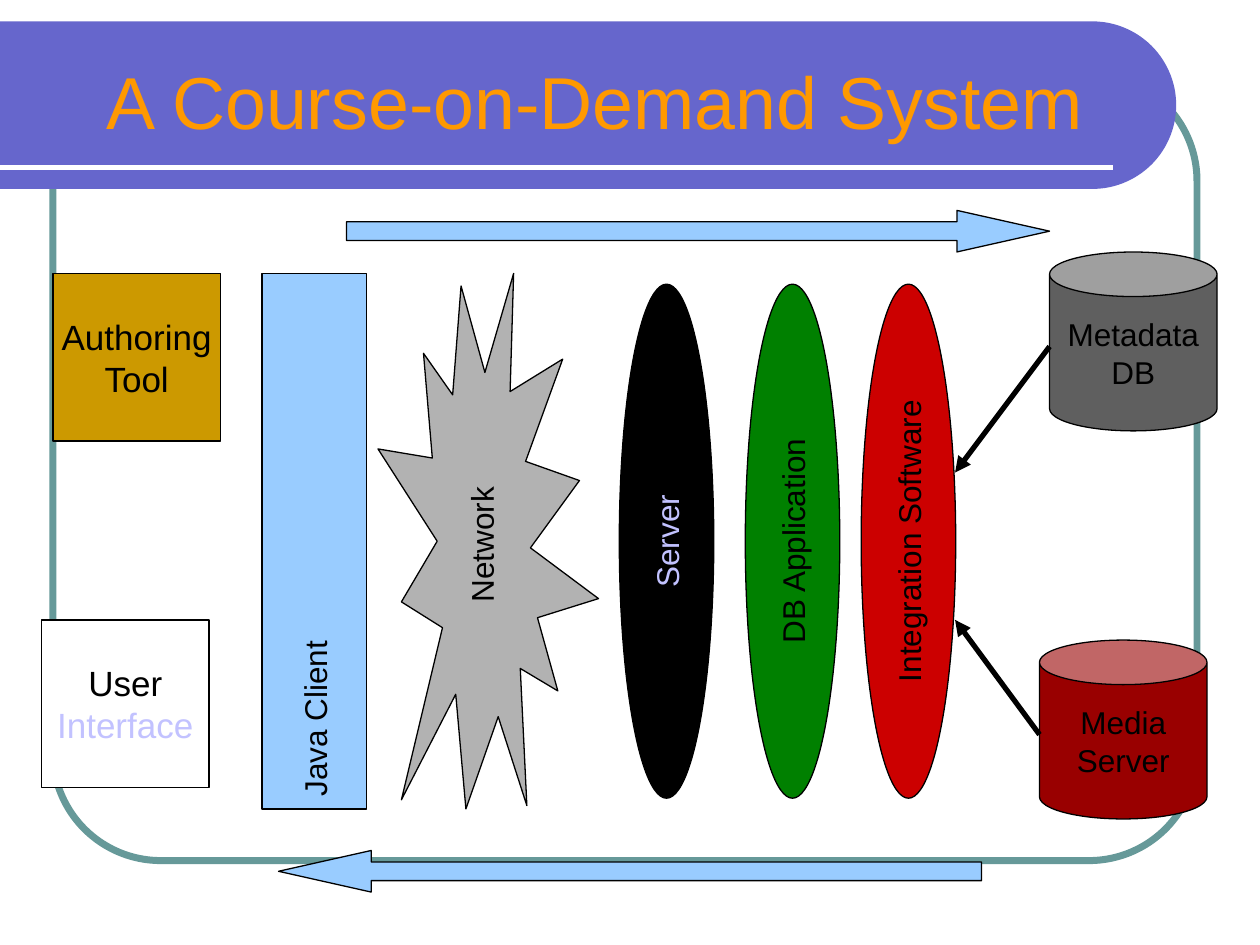
import math

import pptx
import pptx.dml.color
import pptx.enum.shapes
import pptx.enum.text
import pptx.oxml.ns
import pptx.util
from lxml import etree

Inches = pptx.util.Inches
Pt = pptx.util.Pt
RGBColor = pptx.dml.color.RGBColor
SHAPE = pptx.enum.shapes.MSO_SHAPE
ALIGN = pptx.enum.text.PP_ALIGN
MIDDLE = pptx.enum.text.MSO_ANCHOR.MIDDLE
qn = pptx.oxml.ns.qn

BLACK = RGBColor(0x00, 0x00, 0x00)
WHITE = RGBColor(0xFF, 0xFF, 0xFF)
TEAL = RGBColor(0x66, 0x99, 0x99)
VIOLET = RGBColor(0x66, 0x66, 0xCC)
ORANGE = RGBColor(0xFF, 0x99, 0x00)
GOLD = RGBColor(0xCC, 0x99, 0x00)
SKY = RGBColor(0x99, 0xCC, 0xFF)
SILVER = RGBColor(0xB2, 0xB2, 0xB2)
LAVENDER = RGBColor(0xC2, 0xC2, 0xFF)
GREEN = RGBColor(0x00, 0x80, 0x00)
RED = RGBColor(0xCC, 0x00, 0x00)
GRAY = RGBColor(0x5F, 0x5F, 0x5F)
MAROON = RGBColor(0x99, 0x00, 0x00)


def write_lines(shape, lines, size, align=ALIGN.CENTER, wrap=False):
    """Write (text, colour) pairs, one paragraph each."""
    frame = shape.text_frame
    frame.word_wrap = wrap
    frame.vertical_anchor = MIDDLE
    for index, (text, color) in enumerate(lines):
        para = frame.add_paragraph() if index else frame.paragraphs[0]
        para.alignment = align
        span = para.add_run()
        span.text = text
        for name, value in {"name": "Arial", "size": Pt(size)}.items():
            setattr(span.font, name, value)
        span.font.color.rgb = color


def paint(shape, fill, line, width=0.75):
    shape.shadow.inherit = False
    if fill is None:
        shape.fill.background()
    else:
        shape.fill.solid()
        shape.fill.fore_color.rgb = fill
    if line is None:
        shape.line.fill.background()
    else:
        shape.line.color.rgb = line
        shape.line.width = Pt(width)


def add_block(page, kind, place, fill, lines=(), size=18, rotation=0,
              adjust=(), line=BLACK, width=0.75):
    shape = page.shapes.add_shape(kind, *map(Inches, place))
    paint(shape, fill, line, width)
    shape.rotation = rotation
    for index, value in enumerate(adjust):
        shape.adjustments[index] = value
    if lines:
        write_lines(shape, lines, size)
    return shape


def add_line(page, start, end, color, arrow=False):
    connector = page.shapes.add_connector(
        pptx.enum.shapes.MSO_CONNECTOR.STRAIGHT, *map(Inches, start + end))
    connector.line.color.rgb = color
    connector.line.width = Pt(3)
    if arrow:
        tail = etree.SubElement(connector.line._get_or_add_ln(), qn("a:tailEnd"))
        tail.set("type", "triangle")
    etree.SubElement(connector._element.spPr, qn("a:effectLst"))


def add_banner(page):
    """Title band with a half-round right end."""
    top, bottom, straight = 0.17, 1.5, 8.67
    radius = (bottom - top) / 2
    arc = []
    for step in range(61):
        angle = math.pi * (step / 60 - 0.5)
        arc.append((Inches(straight + radius * math.cos(angle)),
                    Inches(top + radius + radius * math.sin(angle))))
    builder = page.shapes.build_freeform(0, Inches(top))
    builder.add_line_segments(arc + [(0, Inches(bottom))], close=True)
    paint(builder.convert_to_shape(), VIOLET, None)


def add_title(page, text):
    box = page.shapes.add_textbox(*map(Inches, (0.75, 0.17, 8.5, 1.25)))
    write_lines(box, [(text, ORANGE)], 42, ALIGN.LEFT, wrap=True)


def main():
    deck = pptx.Presentation()
    deck.slide_width, deck.slide_height = Inches(10), Inches(7.5)
    page = deck.slides.add_slide(deck.slide_layouts[6])

    # Frame, banner and title
    add_block(page, SHAPE.ROUNDED_RECTANGLE, (0.42, 0.58, 9.08, 6.25), None,
              adjust=(0.137,), line=TEAL, width=4)
    add_banner(page)
    add_line(page, (0, 1.33), (8.83, 1.33), WHITE)
    add_title(page, "A Course-on-Demand System")

    # Client side
    add_block(page, SHAPE.RECTANGLE, (0.42, 2.17, 1.33, 1.33), GOLD,
              [("Authoring", BLACK), ("Tool", BLACK)], 20)
    add_block(page, SHAPE.RECTANGLE, (0.33, 4.92, 1.33, 1.33), WHITE,
              [("User", BLACK), ("Interface", LAVENDER)], 20)
    client = add_block(page, SHAPE.RECTANGLE, (2.08, 2.17, 0.83, 4.25), SKY,
                       [("Java Client", BLACK)], rotation=180)
    client.text_frame._txBody.bodyPr.set("vert", "eaVert")

    # Upright layers between client and storage
    add_block(page, SHAPE.EXPLOSION1, (1.75, 3.42, 4.25, 1.75), SILVER,
              [("Network", BLACK)], rotation=270)
    for left, fill, text, color in (
            (3.25, BLACK, "Server", LAVENDER),
            (4.25, GREEN, "DB Application", BLACK),
            (5.17, RED, "Integration Software", BLACK)):
        add_block(page, SHAPE.OVAL, (left, 3.92, 4.08, 0.75), fill,
                  [(text, color)], rotation=270)

    # Storage and its links to the integration layer
    for left, top, fill, words, start, end in (
            (8.33, 2, GRAY, ("Metadata", "DB"), (8.33, 2.75), (7.58, 3.75)),
            (8.25, 5.08, MAROON, ("Media", "Server"), (8.25, 5.83), (7.58, 4.92))):
        add_block(page, SHAPE.CAN, (left, top, 1.33, 1.42), fill,
                  [(word, BLACK) for word in words], adjust=(0.266,))
        add_line(page, start, end, BLACK, arrow=True)

    # Flow there and back
    for left, top, rotation in ((2.75, 1.67, 0), (2.21, 6.75, 180)):
        add_block(page, SHAPE.RIGHT_ARROW, (left, top, 5.58, 0.33), SKY,
                  rotation=rotation, adjust=(0.448, 2.229))

    deck.save("out.pptx")


if __name__ == "__main__":
    main()
